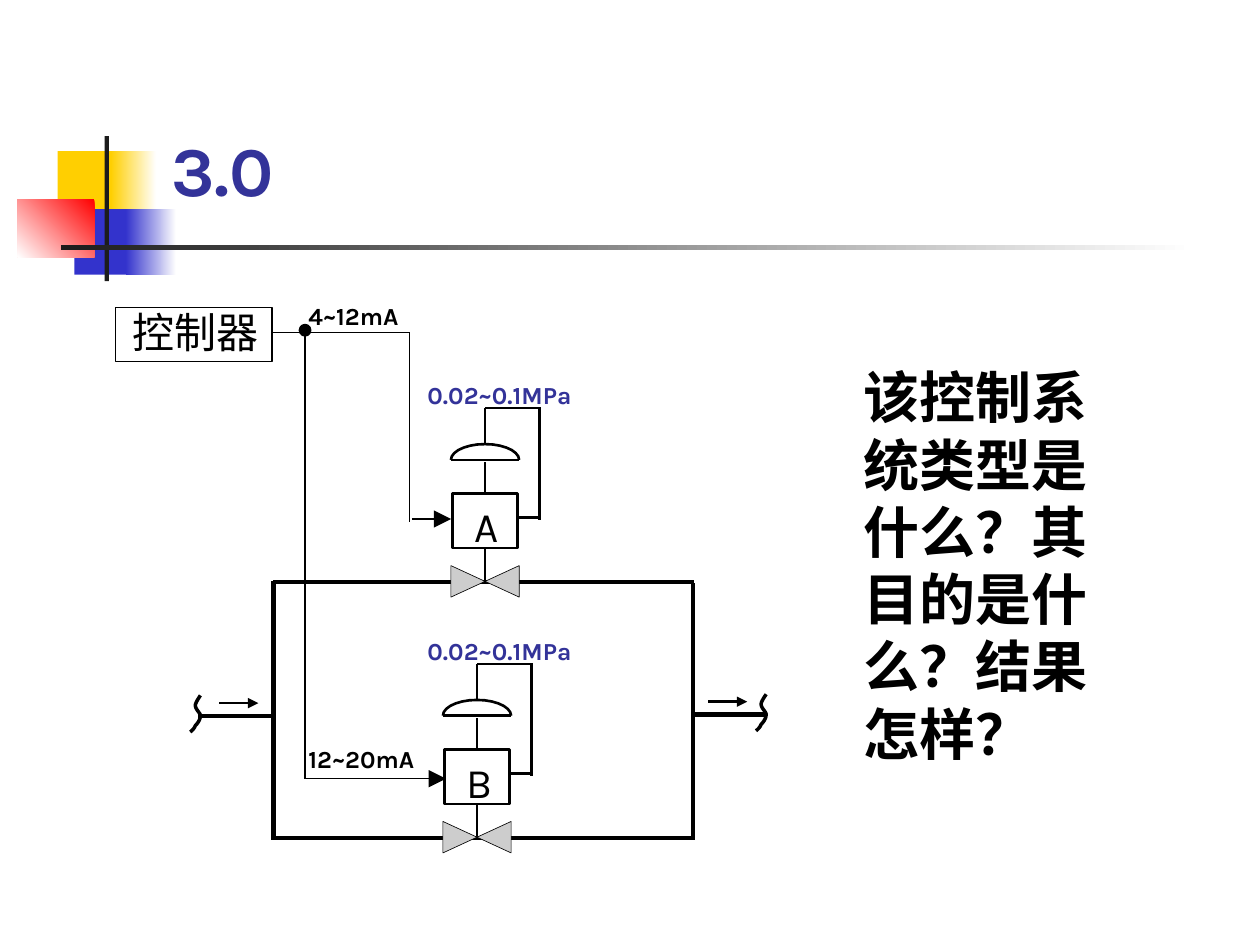
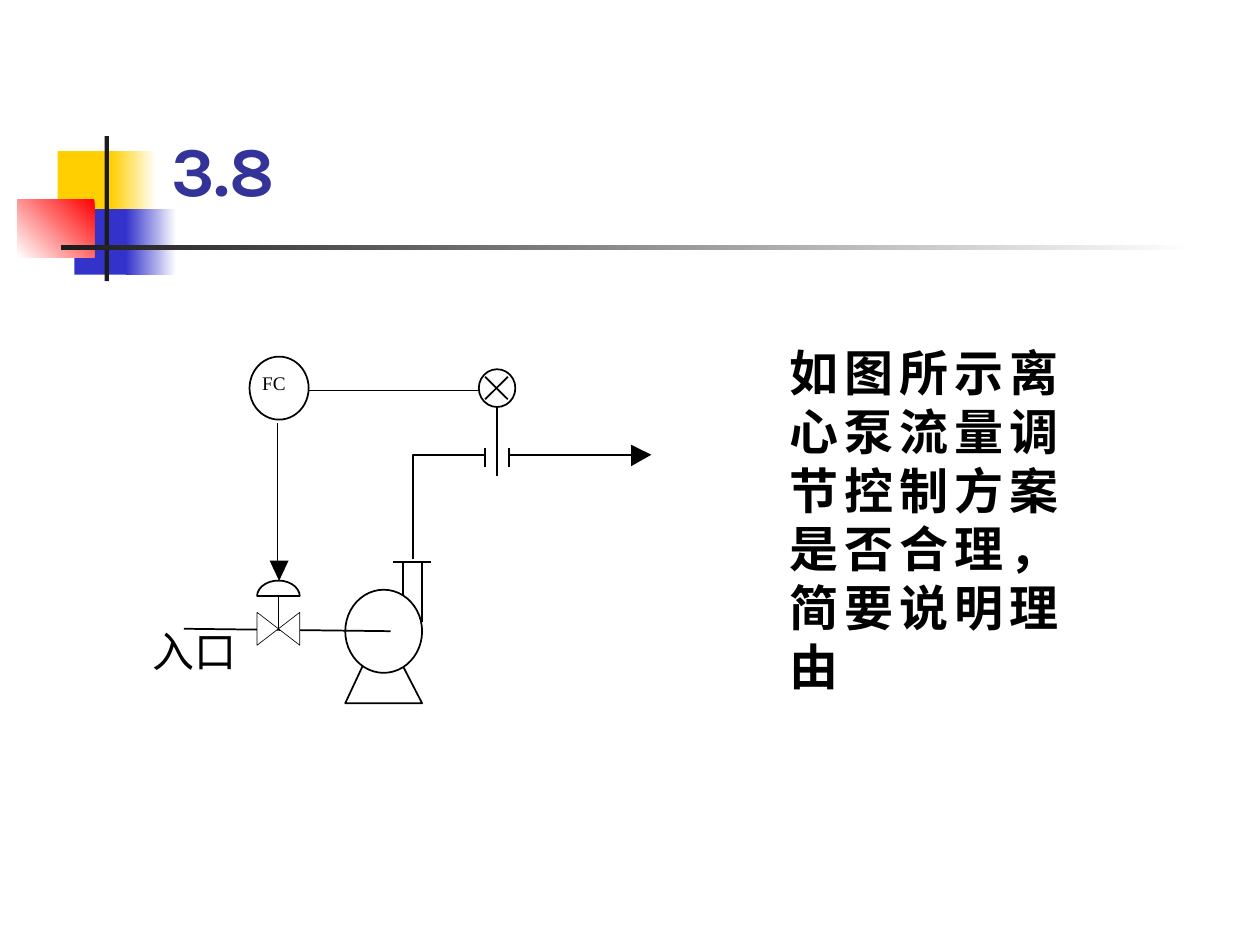
"""Build two process-control exercise slides with piping diagrams."""
from dataclasses import dataclass
from math import cos, pi, sin
from typing import Optional

from lxml.etree import SubElement
from pptx import Presentation
from pptx.dml.color import RGBColor
from pptx.enum.shapes import MSO_CONNECTOR as Connector, MSO_SHAPE as Preset
from pptx.enum.text import MSO_ANCHOR as Anchor, MSO_AUTO_SIZE as AutoSize, PP_ALIGN as Align
from pptx.oxml.ns import qn
from pptx.util import Pt

COLORS = {
    "yellow": "FFCF01", "blue": "3333CC", "red": "FF0000", "dark": "1C1C1C",
    "white": "FFFFFF", "black": "000000", "indigo": "333399", "gray": "CDCDCD",
}
LATIN, CHINESE, SERIF = "Karla", "Noto Sans CJK SC", "Times New Roman"
PIPE, MEDIUM, FINE, SIGNAL, HAIR = 2.5, 1.5, 1, 0.75, 0.37
LINE_HEIGHT = 1.2
Point = tuple[float, float]


@dataclass(frozen=True)
class Box:
    left: float
    top: float
    width: float
    height: float


@dataclass(frozen=True)
class Block:
    box: Box
    color: str
    fade: Optional[int] = None


@dataclass(frozen=True)
class Wire:
    x1: float
    y1: float
    x2: float
    y2: float
    width: float
    head: str = ""


@dataclass(frozen=True)
class Label:
    text: str
    box: Box
    size: float = 24
    font: str = LATIN
    color: str = "black"
    bold: bool = False
    align: Align = Align.LEFT
    tight: bool = False


DECORATION = [
    Block(Box(33, 86.4, 34.6, 37.4), "yellow"),
    Block(Box(63.4, 86.4, 25.9, 37.4), "yellow", 0),
    Block(Box(42.5, 119.5, 33.1, 37.4), "blue"),
    Block(Box(72, 119.5, 28.8, 37.4), "blue", 0),
    Block(Box(10, 113.8, 44, 33.1), "red", 225),
    Block(Box(59.8, 77.8, 2.4, 82.8), "dark"),
    Block(Box(34.6, 140.2, 648, 2.4), "dark", 0),
]


def rgb(name: str) -> RGBColor:
    return RGBColor.from_string(COLORS[name])


def place(shape, box: Box) -> None:
    shape.left, shape.top = Pt(box.left), Pt(box.top)
    shape.width, shape.height = Pt(box.width), Pt(box.height)


def paint(shape, fill: str = "", width: float = 0) -> None:
    shape.shadow.inherit = False
    if fill:
        shape.fill.solid()
        shape.fill.fore_color.rgb = rgb(fill)
    else:
        shape.fill.background()
    if width:
        shape.line.color.rgb = rgb("black")
        shape.line.width = Pt(width)
    else:
        shape.line.fill.background()


def add_preset(slide, preset: Preset, box: Box, fill: str = "", width: float = 0):
    shape = slide.shapes.add_shape(
        preset, Pt(box.left), Pt(box.top), Pt(box.width), Pt(box.height))
    paint(shape, fill, width)
    return shape


def add_outline(slide, points: list[Point], fill: str = "", width: float = 0,
                close: bool = False) -> None:
    start, *rest = [(Pt(x), Pt(y)) for x, y in points]
    builder = slide.shapes.build_freeform(*start, scale=1.0)
    builder.add_line_segments(rest, close=close)
    paint(builder.convert_to_shape(), fill, width)


def add_wire(slide, wire: Wire) -> None:
    connector = slide.shapes.add_connector(
        Connector.STRAIGHT, Pt(wire.x1), Pt(wire.y1), Pt(wire.x2), Pt(wire.y2))
    connector.line.color.rgb = rgb("black")
    connector.line.width = Pt(wire.width)
    properties = connector.element.spPr
    if wire.head:
        SubElement(properties.find(qn("a:ln")), qn("a:tailEnd"),
                   type="triangle", w=wire.head, len=wire.head)
    SubElement(properties, qn("a:effectLst"))


def add_wires(slide, wires: list[Wire]) -> None:
    for wire in wires:
        add_wire(slide, wire)


def write(shape, label: Label) -> None:
    place(shape, label.box)
    frame = shape.text_frame
    frame.word_wrap = not label.tight
    frame.auto_size = AutoSize.NONE
    if label.tight:
        frame.margin_left = frame.margin_right = frame.margin_top = frame.margin_bottom = 0
    frame.text = label.text
    paragraph = frame.paragraphs[0]
    paragraph.alignment = label.align
    paragraph.space_before = Pt(0)
    paragraph.line_spacing = Pt(label.size * LINE_HEIGHT)
    font = paragraph.font
    font.size, font.bold, font.name = Pt(label.size), label.bold, label.font
    font.color.rgb = rgb(label.color)
    properties = paragraph._p.get_or_add_pPr()
    SubElement(properties.find(qn("a:defRPr")), qn("a:ea"), typeface=CHINESE)


def add_label(slide, label: Label) -> None:
    write(slide.shapes.add_textbox(0, 0, 0, 0), label)


def add_question(presentation, number: str, question: Label):
    slide = presentation.slides.add_slide(presentation.slide_layouts[1])
    title, body = slide.placeholders
    write(title, Label(number, Box(90.7, 49, 613.4, 74.9), 40, color="indigo", bold=True))
    title.text_frame.vertical_anchor = Anchor.BOTTOM
    write(body, question)
    properties = body.text_frame.paragraphs[0]._p.get_or_add_pPr()
    properties.set("marL", "0")
    properties.set("indent", "0")
    properties.find(qn("a:defRPr")).addprevious(properties.makeelement(qn("a:buNone"), {}))
    return slide


def decorate_layout(layout, slide) -> None:
    for block in DECORATION:
        shape = add_preset(slide, Preset.RECTANGLE, block.box, block.color)
        if block.fade is not None:
            shape.fill.gradient()
            shape.fill.gradient_angle = block.fade
            for stop, name in zip(shape.fill.gradient_stops, (block.color, "white")):
                stop.color.rgb = rgb(name)
        layout.shapes.element.append(shape.element)


def add_dome(slide, x: float, base: float, radius: float, height: float, width: float) -> None:
    angles = [pi * step / 14 for step in range(15)]
    arc = [(x - radius * cos(angle), base - height * sin(angle)) for angle in angles]
    add_wire(slide, Wire(x - radius, base, x + radius, base, width))
    add_outline(slide, arc, width=width)


def add_valve(slide, x: float, y: float, radius: float, half: float, fill: str) -> None:
    corners = [(x + radius, y + half), (x + radius, y - half),
               (x - radius, y + half), (x - radius, y - half)]
    add_outline(slide, corners, fill, HAIR, close=True)


def add_break(slide, x: float, y: float) -> None:
    curves = [
        [(0, 0), (-1.4, 2.2), (-2.9, 4.3), (-2.9, 5.8)],
        [(-2.9, 5.8), (-2.9, 7.9), (0, 10), (0, 11.5)],
        [(0, 11.5), (0, 13.7), (-1.4, 15.8), (-2.9, 17.3)],
        [(-2.9, 17.3), (-3.6, 19.4), (-5.8, 20.9), (-5.8, 20.9)],
    ]
    points = [(x, y)]
    for curve in curves:
        for t in (0.2, 0.4, 0.6, 0.8, 1):
            weights = ((1 - t) ** 3, 3 * t * (1 - t) ** 2, 3 * t * t * (1 - t), t ** 3)
            points.append((x + sum(w * p[0] for w, p in zip(weights, curve)),
                           y + sum(w * p[1] for w, p in zip(weights, curve))))
    add_outline(slide, points, width=2)


def add_control_valve(slide, name: str, x: float, y: float) -> None:
    add_wire(slide, Wire(156.2, y, 396.7, y, PIPE))
    add_wire(slide, Wire(x, y - 68.4, x, y + 0.7, MEDIUM))
    add_valve(slide, x, y - 0.4, 19.5, 9, "gray")
    add_dome(slide, x, y - 69.8, 19.5, 9, MEDIUM)
    add_preset(slide, Preset.RECTANGLE, Box(x - 18.7, y - 50.4, 37.4, 31), "white", MEDIUM)
    add_wires(slide, [
        Wire(x, y - 78.5, x, y - 99.4, MEDIUM),
        Wire(x, y - 99.4, x + 31.7, y - 99.4, MEDIUM),
        Wire(x + 31, y - 99.4, x + 31, y - 35.3, MEDIUM),
        Wire(x + 18, y - 36.7, x + 31, y - 36.7, MEDIUM),
    ])
    add_label(slide, Label(name, Box(x - 13, y - 50, 39, 36)))
    add_label(slide, Label("0.02~0.1MPa", Box(237.2, y - 118.8, 138, 24.5), 14,
                           color="indigo", bold=True))


def draw_split_range(slide) -> None:
    add_control_valve(slide, "B", 272.6, 478.8)
    add_control_valve(slide, "A", 277.2, 332.6)
    add_break(slide, 114.5, 397.4)
    add_break(slide, 437.8, 396.7)
    add_preset(slide, Preset.RECTANGLE, Box(66.2, 175.7, 89.3, 31), width=SIGNAL)
    add_label(slide, Label("控制器", Box(68.4, 171.4, 95, 36)))
    for text, top in (("4~12mA", 168.5), ("12~20mA", 421.9)):
        add_label(slide, Label(text, Box(169.2, top, 103.7, 24.5), 14, bold=True))
    add_wires(slide, [
        Wire(235.4, 296.6, 257.8, 296.6, SIGNAL, "lg"),
        Wire(174.2, 445, 254.9, 445, SIGNAL, "lg"),
        Wire(234, 190.1, 234, 298.1, SIGNAL),
        Wire(155.5, 190.1, 234, 190.1, SIGNAL),
        Wire(174.2, 190.1, 174.2, 445, MEDIUM),
        Wire(156.2, 331.9, 156.2, 480.2, PIPE),
        Wire(396, 333.4, 396, 480.2, PIPE),
        Wire(113, 409, 155.5, 409, PIPE),
        Wire(395.3, 408.2, 437.8, 408.2, PIPE),
        Wire(125.3, 401.8, 147.6, 401.8, MEDIUM, "med"),
        Wire(404.6, 401, 427, 401, MEDIUM, "med"),
    ])
    add_preset(slide, Preset.FLOWCHART_CONNECTOR, Box(171.4, 185.8, 5.8, 5.8), "black", MEDIUM)


def draw_pump(slide) -> None:
    add_wire(slide, Wire(275, 223.2, 172.8, 223.2, SIGNAL))
    add_outline(slide, [(236.2, 319.7), (236.2, 259.9), (360.7, 259.9)], width=FINE)
    add_outline(slide, [(360.7, 254.2), (372.2, 259.9), (360.7, 266.4)], "black", close=True)
    add_wires(slide, [
        Wire(241.2, 355.7, 241.2, 321.1, FINE),
        Wire(230.4, 344.2, 230.4, 321.1, FINE),
        Wire(246.2, 321.1, 224.6, 321.1, FINE),
    ])
    add_outline(slide, [(208.1, 378.7), (197.3, 401.8), (241.2, 401.8), (230.4, 380.9)],
                width=FINE)
    add_preset(slide, Preset.OVAL, Box(197.3, 337, 43.9, 47.5), "white", FINE)
    add_preset(slide, Preset.OVAL, Box(273.6, 211, 20.9, 21.6), "white", FINE)
    add_preset(slide, Preset.RECTANGLE, Box(277.2, 251.3, 13.7, 21.6), "white")
    add_wires(slide, [
        Wire(290.2, 215.3, 277.2, 228.2, FINE),
        Wire(277.2, 215.3, 290.2, 228.2, FINE),
        Wire(290.9, 256.3, 290.9, 267.1, FINE),
        Wire(283.9, 232.6, 283.9, 272.2, FINE),
        Wire(277.2, 256.3, 277.2, 267.1, FINE),
    ])
    add_outline(slide, [(164.9, 320.4), (159.5, 331.9), (154.1, 320.4)], "black", close=True)
    add_preset(slide, Preset.OVAL, Box(142.6, 203.8, 33.8, 36), "white", FINE)
    add_label(slide, Label("FC", Box(149.8, 212.4, 13.7, 13), 11, SERIF, tight=True))
    add_wire(slide, Wire(105.1, 359.3, 223.2, 360.7, FINE))
    add_valve(slide, 159.1, 359.3, 12.2, 9.4, "white")
    add_wire(slide, Wire(159.1, 359.3, 159.1, 340.6, FINE))
    add_dome(slide, 159.1, 340.8, 12.2, 9, FINE)
    add_wire(slide, Wire(158.4, 241.9, 158.4, 324, SIGNAL))
    add_label(slide, Label("入口", Box(72, 354.2, 77.8, 36), font=SERIF, align=Align.CENTER))


def main() -> None:
    presentation = Presentation()
    presentation.slide_width, presentation.slide_height = Pt(720), Pt(540)
    split_range = add_question(presentation, "3.0", Label(
        "该控制系统类型是什么？其目的是什么？结果怎样？",
        Box(486, 203.8, 149.8, 237.6), 32, CHINESE, bold=True))
    decorate_layout(presentation.slide_layouts[1], split_range)
    draw_split_range(split_range)
    pump = add_question(presentation, "3.8", Label(
        "如图所示离心泵流量调节控制方案是否合理，简要说明理由",
        Box(444.2, 192.2, 167.8, 208.8), 28, CHINESE, bold=True, align=Align.JUSTIFY))
    draw_pump(pump)
    presentation.save("out.pptx")


main()
